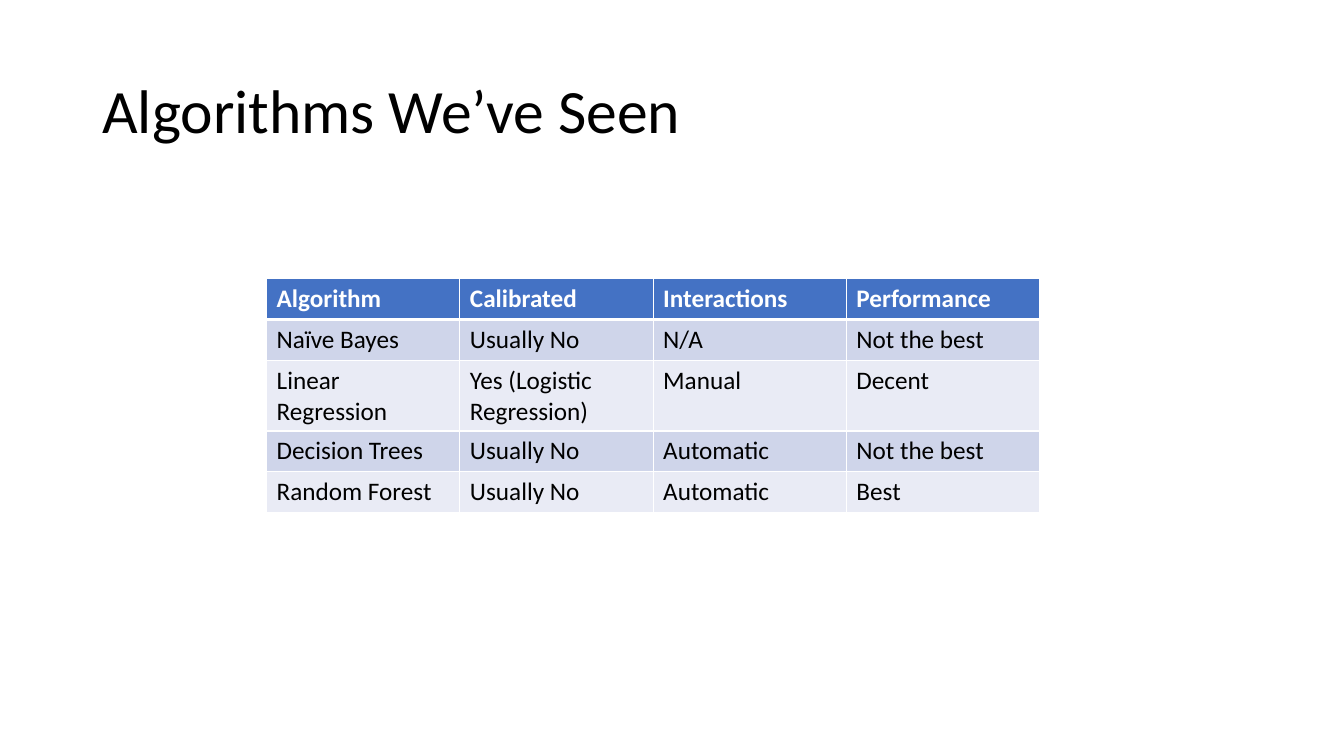
from dataclasses import dataclass

from lxml.etree import SubElement
from pptx import Presentation
from pptx.dml.color import RGBColor as RGB
from pptx.enum.text import MSO_ANCHOR as Anchor
from pptx.oxml.ns import qn
from pptx.util import Cm, Pt


@dataclass(frozen=True)
class Theme:
    font: str = "Calibri"
    title_size: int = 44
    cell_size: int = 18
    text: str = "000000"
    light: str = "FFFFFF"
    header: str = "4472C4"
    bands: tuple = ("CFD5EA", "E9EBF5")
    rule: int = 1
    header_rule: int = 3


class Deck:
    def __init__(self, theme):
        self.theme = theme
        self.prs = Presentation()
        self.prs.slide_width = Cm(33.87)
        self.prs.slide_height = Cm(19.05)
        self.s = self.prs.slides.add_slide(self.prs.slide_layouts[6])

    def style(self, p, size, color, bold=False):
        font = p.font
        font.name = self.theme.font
        font.size = Pt(size)
        font.bold = bold
        font.color.rgb = RGB.from_string(color)

    def title(self, text, x, y, w, h):
        tf = self.s.shapes.add_textbox(Cm(x), Cm(y), Cm(w), Cm(h)).text_frame
        tf.word_wrap = True
        tf.vertical_anchor = Anchor.MIDDLE
        p = tf.paragraphs[0]
        p.text = text
        p.line_spacing = 0.9
        self.style(p, self.theme.title_size, self.theme.text)

    def border(self, cell, side, width):
        ln = SubElement(cell._tc.get_or_add_tcPr(), qn(f"a:ln{side}"), w=str(Pt(width)))
        fill = SubElement(ln, qn("a:solidFill"))
        SubElement(fill, qn("a:srgbClr"), val=self.theme.light)

    def cell(self, cell, text, row):
        t = self.theme
        is_header = row == 0
        thick_sides = {0: "B", 1: "T"}
        for side in "LRTB":
            self.border(cell, side, t.header_rule if thick_sides.get(row) == side else t.rule)
        cell.fill.solid()
        color = t.header if is_header else t.bands[(row - 1) % 2]
        cell.fill.fore_color.rgb = RGB.from_string(color)
        cell.text = text
        self.style(cell.text_frame.paragraphs[0], t.cell_size,
                   t.light if is_header else t.text, is_header)

    def table(self, rows, x, y, col_w, row_h):
        n_rows, n_cols = len(rows), len(rows[0])
        table = self.s.shapes.add_table(
            n_rows, n_cols, Cm(x), Cm(y), Cm(col_w * n_cols), Cm(row_h * n_rows)).table
        for col in table.columns:
            col.width = Cm(col_w)
        for i, values in enumerate(rows):
            table.rows[i].height = Cm(row_h)
            for j, text in enumerate(values):
                self.cell(table.cell(i, j), text, i)


ALGORITHMS = [
    ("Algorithm", "Calibrated", "Interactions", "Performance"),
    ("Naïve Bayes", "Usually No", "N/A", "Not the best"),
    ("Linear Regression", "Yes (Logistic Regression)", "Manual", "Decent"),
    ("Decision Trees", "Usually No", "Automatic", "Not the best"),
    ("Random Forest", "Usually No", "Automatic", "Best"),
]


def main():
    deck = Deck(Theme())
    deck.title("Algorithms We’ve Seen", 2.33, 1.01, 29.21, 3.68)
    deck.table(ALGORITHMS, 6.72, 7.02, 4.87, 1.03)
    deck.prs.save("out.pptx")


if __name__ == "__main__":
    main()
